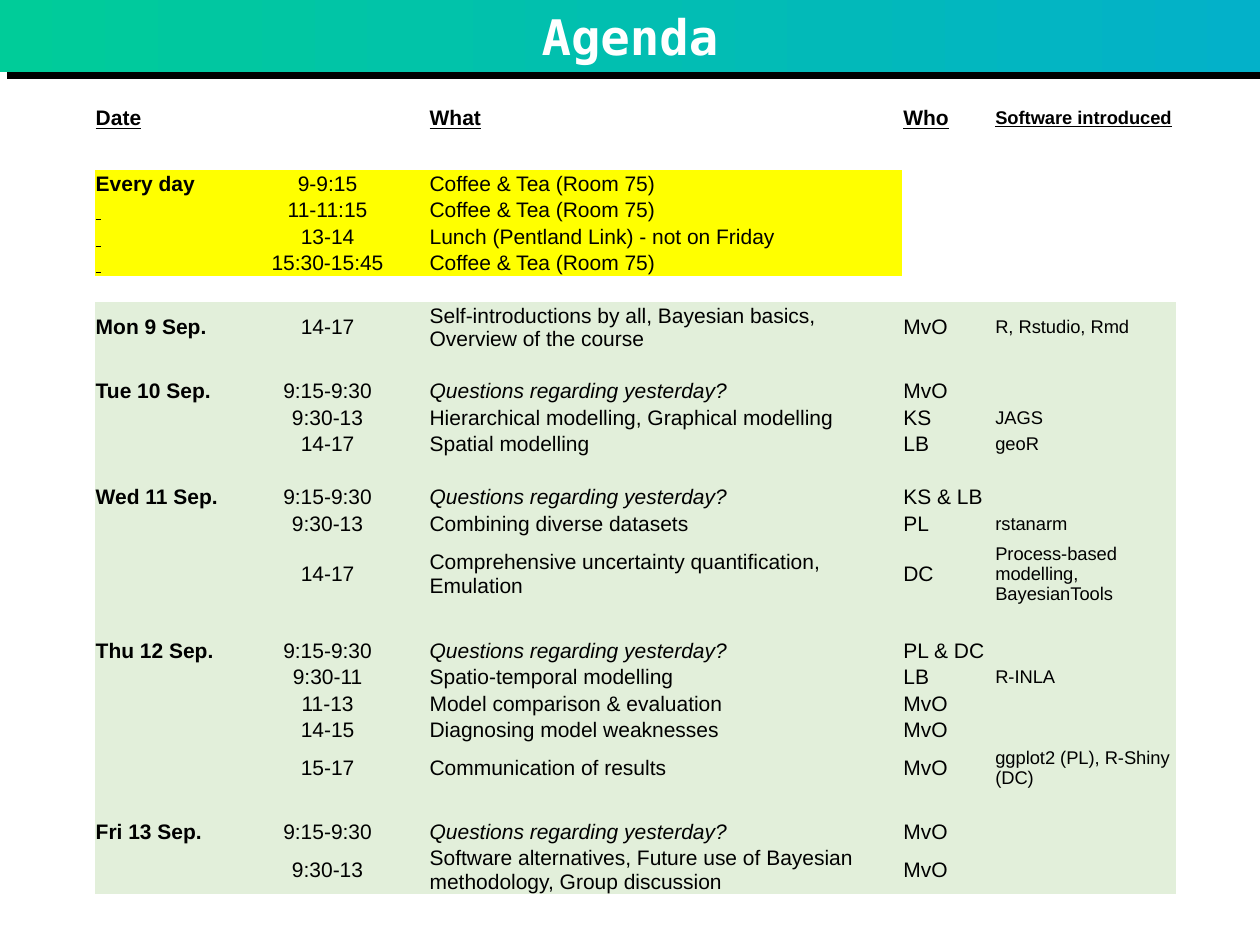
import pptx
import pptx.dml.color
import pptx.enum.text
import pptx.oxml
import pptx.oxml.ns
import pptx.util

Inches = pptx.util.Inches
Pt = pptx.util.Pt
RGBColor = pptx.dml.color.RGBColor
ALIGN = pptx.enum.text.PP_ALIGN
MIDDLE = pptx.enum.text.MSO_ANCHOR.MIDDLE

BLACK = RGBColor(0x00, 0x00, 0x00)
WHITE = RGBColor(0xFF, 0xFF, 0xFF)
GREEN = RGBColor(0x00, 0xCC, 0x99)
BLUE = RGBColor(0x03, 0xB1, 0xC9)
YELLOW = RGBColor(0xFF, 0xFF, 0x00)
PALE_GREEN = RGBColor(0xE2, 0xEF, 0xDA)

NO_STYLE = "{2D5ABB26-0587-4C30-8999-92F81FD0307C}"
COL_WIDTHS = [1.05, 1.6, 3.76, 0.73, 1.44]
ROW_H = 0.21
TALL_ROWS = {0: 0.41, 7: 0.39, 15: 0.59, 21: 0.39, 24: 0.39}
TIME, SOFTWARE = 1, 4
QUESTIONS = "Questions regarding yesterday?"

HEADER = ["Date", "", "What", "Who", "Software introduced"]
BREAKS = [
    ["Every day", "9-9:15", "Coffee & Tea (Room 75)"],
    [" ", "11-11:15", "Coffee & Tea (Room 75)"],
    [" ", "13-14", "Lunch (Pentland Link) - not on Friday"],
    [" ", "15:30-15:45", "Coffee & Tea (Room 75)"],
]
DAYS = {
    "Mon 9 Sep.": [
        ["14-17", "Self-introductions by all, Bayesian basics, Overview of the course",
         "MvO", "R, Rstudio, Rmd"],
    ],
    "Tue 10 Sep.": [
        ["9:15-9:30", QUESTIONS, "MvO", ""],
        ["9:30-13", "Hierarchical modelling, Graphical modelling", "KS", "JAGS"],
        ["14-17", "Spatial modelling", "LB", "geoR"],
    ],
    "Wed 11 Sep.": [
        ["9:15-9:30", QUESTIONS, "KS & LB", ""],
        ["9:30-13", "Combining diverse datasets", "PL", "rstanarm"],
        ["14-17", "Comprehensive uncertainty quantification, Emulation",
         "DC", "Process-based modelling, BayesianTools"],
    ],
    "Thu 12 Sep.": [
        ["9:15-9:30", QUESTIONS, "PL & DC", ""],
        ["9:30-11", "Spatio-temporal modelling", "LB", "R-INLA"],
        ["11-13", "Model comparison & evaluation", "MvO", ""],
        ["14-15", "Diagnosing model weaknesses", "MvO", ""],
        ["15-17", "Communication of results", "MvO", "ggplot2 (PL), R-Shiny (DC)"],
    ],
    "Fri 13 Sep.": [
        ["9:15-9:30", QUESTIONS, "MvO", ""],
        ["9:30-13", "Software alternatives, Future use of Bayesian methodology, Group discussion",
         "MvO", ""],
    ],
}


def set_attributes(target, values):
    for name, value in values.items():
        setattr(target, name, value)


def add_run(p, text, color, **font):
    r = p.add_run()
    r.text = text
    set_attributes(r.font, font)
    r.font.color.rgb = color


def add_offset_shadow(s):
    s.shadow.inherit = False
    effects = s._element.spPr.find(pptx.oxml.ns.qn("a:effectLst"))
    effects.append(pptx.oxml.parse_xml(
        f'<a:outerShdw {pptx.oxml.ns.nsdecls("a")} dist="72390" dir="2700000" algn="ctr" '
        'rotWithShape="0"><a:srgbClr val="000000"/></a:outerShdw>'))


def format_title(s, text):
    set_attributes(s, dict(left=0, top=0, width=Inches(10), height=Inches(0.57)))
    s.fill.gradient()
    s.fill.gradient_angle = 0
    for stop, color in zip(s.fill.gradient_stops, (GREEN, BLUE)):
        stop.color.rgb = color
        stop.position = 0 if color == GREEN else 1
    add_offset_shadow(s)
    tf = s.text_frame
    tf.vertical_anchor = MIDDLE
    p = tf.paragraphs[0]
    p.alignment = ALIGN.CENTER
    add_run(p, text, WHITE, name="DejaVu Sans Mono", size=Pt(28), bold=True)


def agenda_rows():
    rows = [(HEADER, None), ([], None)]
    rows += [(row, YELLOW) for row in BREAKS]
    rows.append(([], None))
    for day, sessions in DAYS.items():
        if day != next(iter(DAYS)):
            rows.append(([], PALE_GREEN))
        for i, session in enumerate(sessions):
            rows.append(([day if i == 0 else "", *session], PALE_GREEN))
    return rows


def fill_cell(cell, text, fill, col, is_header):
    set_attributes(cell, dict(margin_left=Inches(0.01), margin_right=Inches(0.01),
                              margin_top=Inches(0.01), margin_bottom=0,
                              vertical_anchor=MIDDLE))
    if fill is None:
        cell.fill.background()
    else:
        cell.fill.solid()
        cell.fill.fore_color.rgb = fill
    p = cell.text_frame.paragraphs[0]
    p.alignment = ALIGN.CENTER if col == TIME else ALIGN.LEFT
    if text:
        add_run(p, text, BLACK, name="Arial",
                size=Pt(10.5 if col == SOFTWARE else 12),
                bold=is_header or col == 0,
                italic=text == QUESTIONS,
                underline=is_header or text == " ")
    else:
        p._p.get_or_add_endParaRPr().set("sz", "1050")


def add_agenda(slide, rows):
    heights = [TALL_ROWS.get(i, ROW_H) for i in range(len(rows))]
    frame = slide.shapes.add_table(len(rows), len(COL_WIDTHS), Inches(0.75), Inches(0.73),
                                   Inches(sum(COL_WIDTHS)), Inches(sum(heights)))
    table = frame.table
    set_attributes(table, dict(first_row=False, horz_banding=False))
    table._tbl.tblPr.find(pptx.oxml.ns.qn("a:tableStyleId")).text = NO_STYLE
    for column, width in zip(table.columns, COL_WIDTHS):
        column.width = Inches(width)
    for i, (texts, fill) in enumerate(rows):
        table.rows[i].height = Inches(heights[i])
        for col in range(len(COL_WIDTHS)):
            text = texts[col] if col < len(texts) else ""
            cell_fill = None if fill == YELLOW and col >= len(texts) else fill
            fill_cell(table.cell(i, col), text, cell_fill, col, i == 0)


def main():
    prs = pptx.Presentation()
    set_attributes(prs, dict(slide_width=Inches(10), slide_height=Inches(7.5)))
    slide = prs.slides.add_slide(prs.slide_layouts[5])
    format_title(slide.shapes.title, "Agenda")
    add_agenda(slide, agenda_rows())
    prs.save("out.pptx")


if __name__ == "__main__":
    main()
